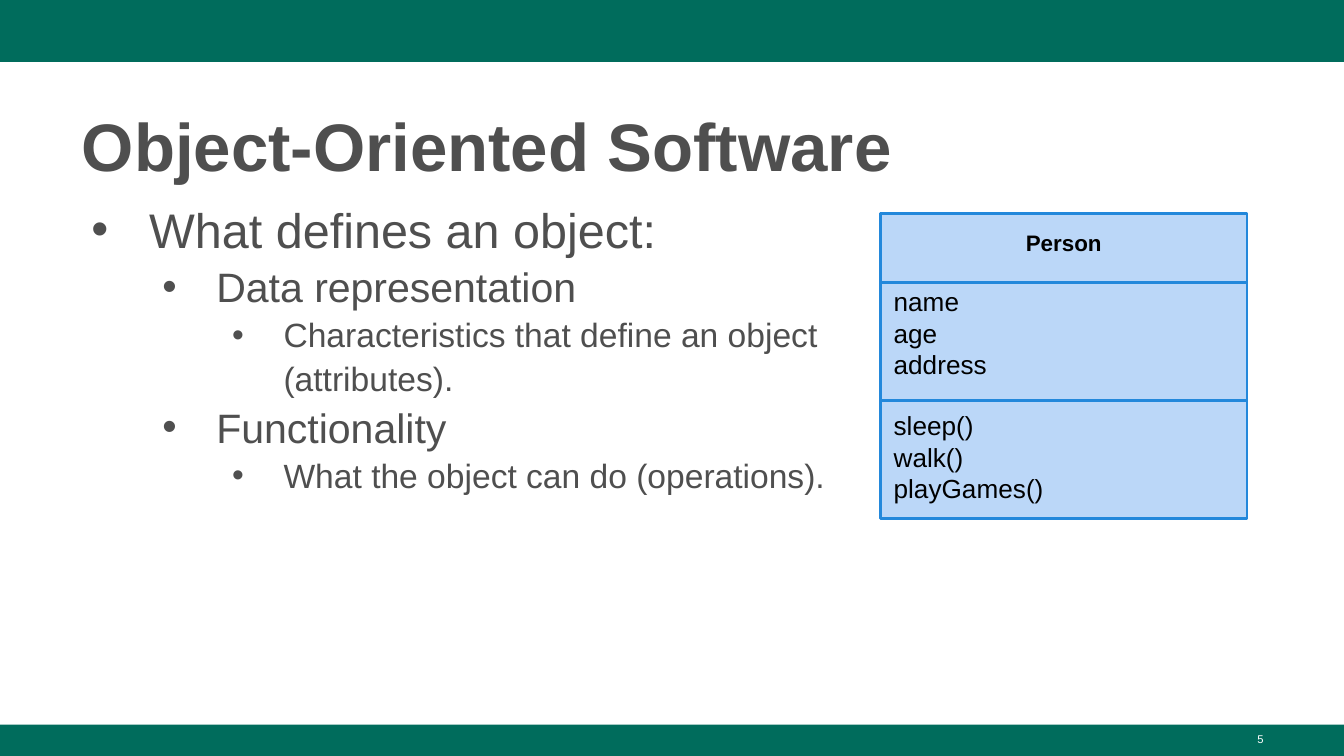
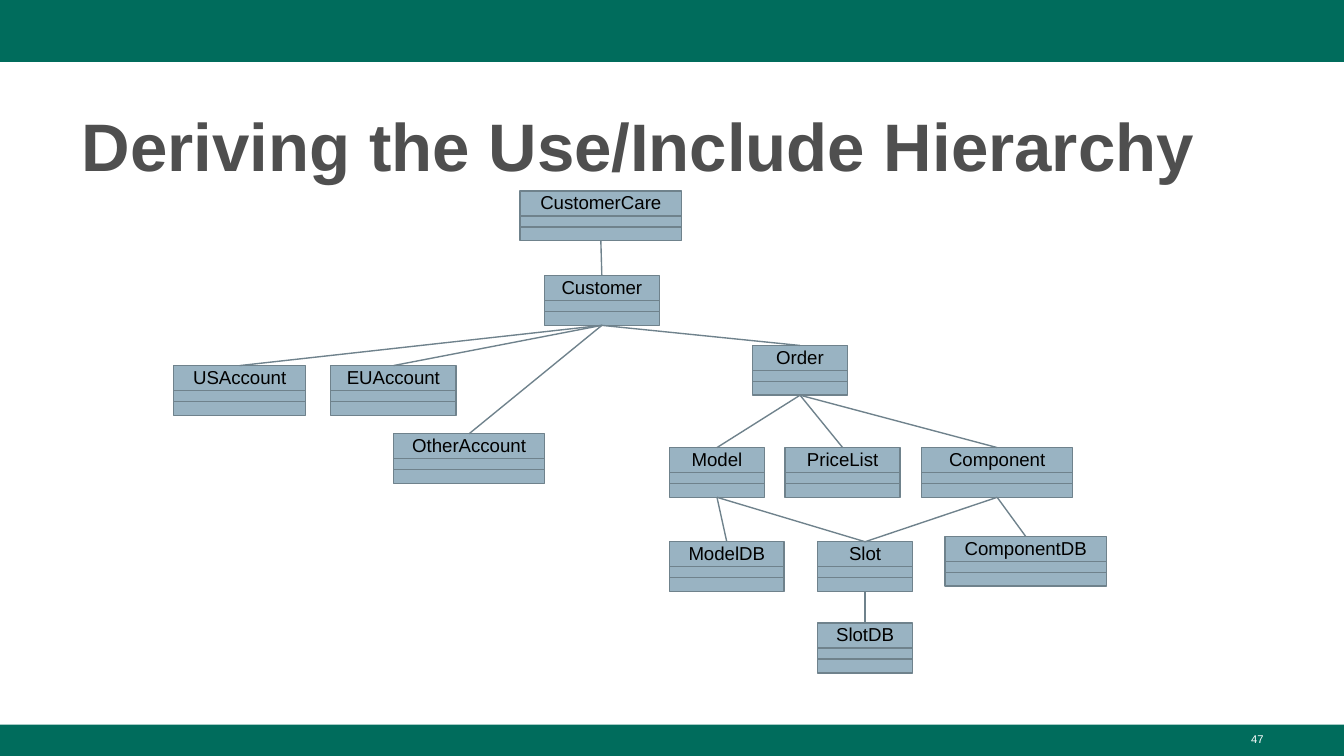
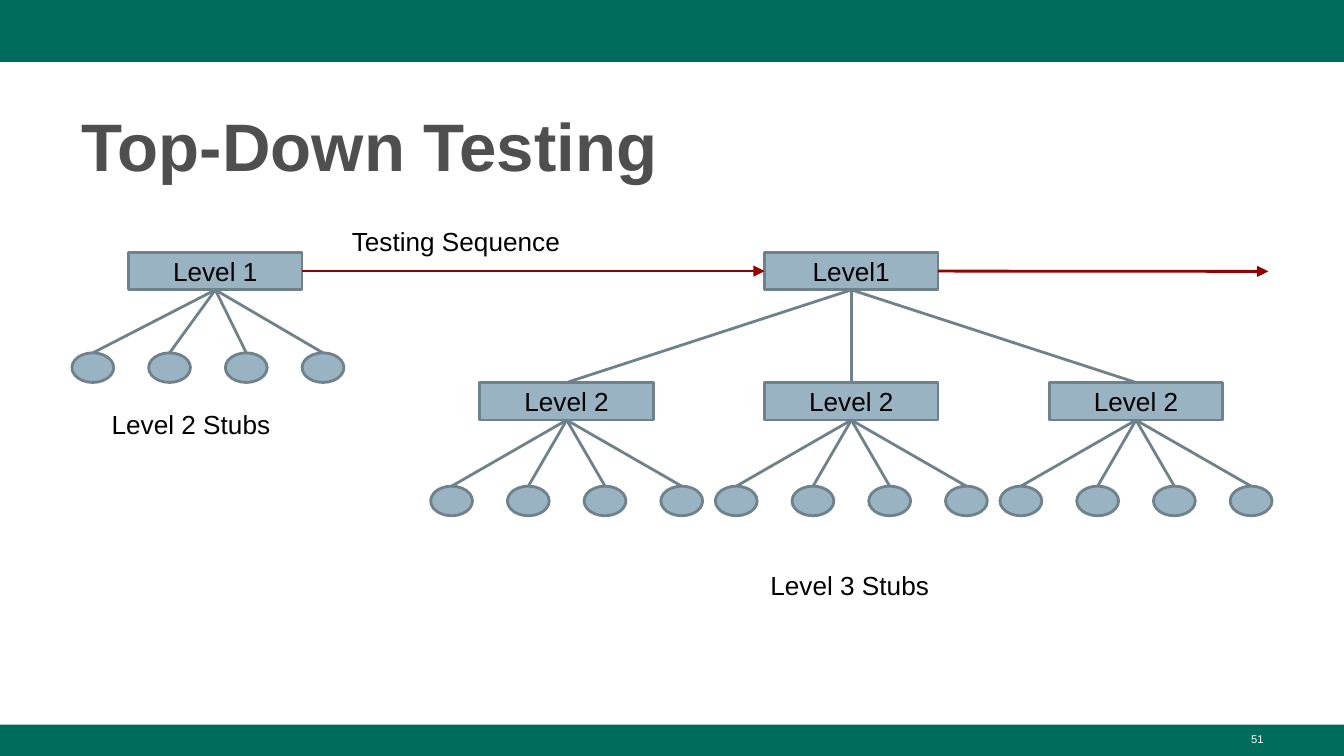
import lxml.etree
import pptx
import pptx.dml.color
import pptx.enum.shapes
import pptx.enum.text
import pptx.oxml.ns
import pptx.util

Cm, Pt = pptx.util.Cm, pptx.util.Pt
qn = pptx.oxml.ns.qn
SHAPE = pptx.enum.shapes.MSO_SHAPE
ALIGN = pptx.enum.text.PP_ALIGN
ANCHOR = pptx.enum.text.MSO_ANCHOR

GREEN, GREY, BLACK, WHITE, RED = "006C5C", "4F4F4F", "000000", "FFFFFF", "980000"
STEEL = {"fill": "99B3C2", "line": "6F828C"}
SKY = {"fill": "BBD7F8", "line": "2388DB"}
WIDTH, HEIGHT = 25.4, 14.29
TOP, BOTTOM, LEFT, RIGHT = 0, 2, 1, 3


def rgb(value):
    """Turn a hex string into a colour."""
    return pptx.dml.color.RGBColor.from_string(value)


def put_text(sp, paragraphs, size, color=BLACK, bold=False, inset=(0, 0),
             anchor=ANCHOR.TOP, **formats):
    """Fill a shape with paragraphs that share one style."""
    tf = sp.text_frame
    frame = {"word_wrap": True, "vertical_anchor": anchor,
             "margin_left": Cm(inset[0]), "margin_right": Cm(inset[0]),
             "margin_top": Cm(inset[1]), "margin_bottom": Cm(inset[1])}
    for name, value in frame.items():
        setattr(tf, name, value)
    for i, text in enumerate(paragraphs):
        p = tf.add_paragraph() if i else tf.paragraphs[0]
        for name, value in {"alignment": ALIGN.LEFT, **formats}.items():
            setattr(p, name, value)
        r = p.add_run()
        r.text = text
        for name, value in {"name": "Arial", "size": Pt(size), "bold": bold}.items():
            setattr(r.font, name, value)
        r.font.color.rgb = rgb(color)
    return tf


def add_text(s, box, paragraphs, size, **formats):
    """Place a text box."""
    sp = s.shapes.add_textbox(*map(Cm, box))
    return put_text(sp, paragraphs, size, **formats)


def add_block(s, kind, box, fill, line=None, weight=1.5):
    """Place a filled preset shape."""
    sp = s.shapes.add_shape(kind, *map(Cm, box))
    sp.shadow.inherit = False
    sp.fill.solid()
    sp.fill.fore_color.rgb = rgb(fill)
    if line:
        sp.line.color.rgb = rgb(line)
        sp.line.width = Pt(weight)
    else:
        sp.line.fill.background()
    return sp


def add_line(s, x1, y1, x2, y2, color, weight=1.5, arrow=False):
    """Draw a straight line, with an arrowhead at its end if asked."""
    c = s.shapes.add_connector(pptx.enum.shapes.MSO_CONNECTOR.STRAIGHT,
                               *map(Cm, (x1, y1, x2, y2)))
    c.line.color.rgb = rgb(color)
    c.line.width = Pt(weight)
    spPr = c._element.spPr
    lxml.etree.SubElement(spPr, qn("a:effectLst"))
    if arrow:
        lxml.etree.SubElement(spPr.find(qn("a:ln")), qn("a:tailEnd"), type="triangle")
    return c


def join(s, start, end, sites=(BOTTOM, TOP), color=STEEL["line"], **style):
    """Connect two shapes at the given sites."""
    c = add_line(s, 0, 0, 1, 1, color, **style)
    c.begin_connect(start, sites[0])
    c.end_connect(end, sites[1])


def new_slide(prs, title, number):
    """Add a slide with bands, title and page number."""
    s = prs.slides.add_slide(prs.slide_layouts[6])
    for top, height in ((0, 1.17), (13.7, 0.59)):
        add_block(s, SHAPE.RECTANGLE, (0, top, WIDTH, height), GREEN)
    add_text(s, (1.3, 1.7, 22.83, 1.85), [title], 36, color=GREY, bold=True,
             inset=(0.25, 0.05), anchor=ANCHOR.BOTTOM, line_spacing=1.08)
    add_text(s, (18.21, 13.72, 5.92, 0.58), [str(number)], 6, color=WHITE,
             inset=(0.25, 0.13), alignment=ALIGN.RIGHT)
    return s


def bullet_list(s, box, items):
    """Place a bulleted list of (level, text) items."""
    sizes, hangs = (26, 22, 18), (1.09, 1.02, 0.97)
    tf = add_text(s, box, [text for _, text in items], 26, color=GREY,
                  inset=(0.25, 0.13), line_spacing=1.08)
    for p, (level, _) in zip(tf.paragraphs, items):
        p.level = level
        p.runs[0].font.size = Pt(sizes[level])
        pPr = p._p.get_or_add_pPr()
        pPr.set("marL", str(Cm(1.27 * (level + 1))))
        pPr.set("indent", str(-Cm(hangs[level])))
        clr = lxml.etree.SubElement(pPr, qn("a:buClr"))
        lxml.etree.SubElement(clr, qn("a:srgbClr"), val=GREY)
        lxml.etree.SubElement(pPr, qn("a:buFont"), typeface="Arial")
        lxml.etree.SubElement(pPr, qn("a:buChar"), char="\u2022")


def class_diagram(s, box, name, attributes, operations):
    """Draw a class with its attributes and operations."""
    x, y, w, h = box
    sp = add_block(s, SHAPE.RECTANGLE, box, **SKY)
    tf = put_text(sp, [name, *attributes, *operations], 14, inset=(0.25, 0.25),
                  anchor=ANCHOR.MIDDLE)
    heading = tf.paragraphs[0]
    heading.alignment = ALIGN.CENTER
    heading.runs[0].font.size = Pt(12)
    heading.runs[0].font.bold = True
    for i in (1, 1 + len(attributes)):
        tf.paragraphs[i].space_before = Pt(16)
    for offset in (1.3, 3.53):
        add_line(s, x, y + offset, x + w, y + offset, SKY["line"])


def class_card(s, x, y, w, name):
    """Draw a small class card with two empty compartments."""
    sp = add_block(s, SHAPE.RECTANGLE, (x, y, w, 0.94), weight=0.75, **STEEL)
    put_text(sp, [name], 10, alignment=ALIGN.CENTER)
    for offset in (0.47, 0.68):
        add_line(s, x, y + offset, x + w, y + offset, STEEL["line"], 0.75)
    return sp


def hierarchy(s, cards, uses):
    """Draw class cards and the links between them."""
    drawn = {name: class_card(s, *place, name) for name, place in cards.items()}
    for user, used in uses.items():
        for name in used:
            join(s, drawn[user], drawn[name], weight=0.75)


def level_box(s, x, y, label):
    """Draw the box of one test level."""
    sp = add_block(s, SHAPE.RECTANGLE, (x, y, 3.28, 0.71), **STEEL)
    put_text(sp, [label], 14, anchor=ANCHOR.MIDDLE, alignment=ALIGN.CENTER)
    return sp


def level_with_stubs(s, x, y, label, shift, drop):
    """Draw a level box with four stubs fanned out below it."""
    box = level_box(s, x, y, label)
    for i in range(4):
        stub = add_block(s, SHAPE.OVAL, (x - shift + 1.45 * i, y + drop, 0.79, 0.56), **STEEL)
        join(s, box, stub)
    return box


def object_slide(prs):
    """Build the slide on what defines an object."""
    s = new_slide(prs, "Object-Oriented Software", 5)
    bullet_list(s, (1.3, 3.56, 17.68, 9.68), [
        (0, "What defines an object:"),
        (1, "Data representation"),
        (2, "Characteristics that define an object (attributes)."),
        (1, "Functionality"),
        (2, "What the object can do (operations)."),
    ])
    class_diagram(s, (16.64, 4.04, 6.93, 5.77), "Person", ["name", "age", "address"],
                  ["sleep()", "walk()", "playGames()"])


def hierarchy_slide(prs):
    """Build the slide with the use hierarchy."""
    s = new_slide(prs, "Deriving the Use/Include Hierarchy", 47)
    cards = {
        "CustomerCare": (9.83, 3.61, 3.05),
        "Customer": (10.29, 5.21, 2.17),
        "USAccount": (3.28, 6.91, 2.5),
        "EUAccount": (6.25, 6.91, 2.37),
        "OtherAccount": (7.44, 8.2, 2.85),
        "Order": (14.22, 6.53, 1.8),
        "Model": (12.65, 8.46, 1.8),
        "PriceList": (14.84, 8.46, 2.17),
        "Component": (17.42, 8.46, 2.85),
        "ModelDB": (12.65, 10.24, 2.17),
        "Slot": (15.45, 10.24, 1.8),
        "ComponentDB": (17.86, 10.14, 3.05),
        "SlotDB": (15.45, 11.78, 1.8),
    }
    hierarchy(s, cards, {
        "CustomerCare": ["Customer"],
        "Customer": ["USAccount", "EUAccount", "OtherAccount", "Order"],
        "Order": ["Model", "PriceList", "Component"],
        "Model": ["ModelDB", "Slot"],
        "Component": ["Slot", "ComponentDB"],
        "Slot": ["SlotDB"],
    })


def testing_slide(prs):
    """Build the slide on top-down testing."""
    s = new_slide(prs, "Top-Down Testing", 51)
    top, middle = 4.77, 14.45
    first = level_with_stubs(s, 2.43, top, "Level 1", 1.07, 1.9)
    second = level_box(s, middle, top, "Level1")
    for i in (-1, 0, 1):
        child = level_with_stubs(s, middle + 5.38 * i, 7.23, "Level 2", 0.93, 1.96)
        join(s, second, child)
    join(s, first, second, (RIGHT, LEFT), RED, arrow=True)
    arrow = add_line(s, middle + 3.28, top + 0.36, 23.97, top + 0.36, RED, arrow=True)
    arrow.begin_connect(second, RIGHT)
    labels = {"Level 2 Stubs": (1.86, 7.47, 4.17), "Level 3 Stubs": (14.31, 10.52, 4.17),
              "Testing Sequence": (6.4, 4.01, 6.2)}
    for text, place in labels.items():
        add_text(s, (*place, 0.86), [text], 14, inset=(0.25, 0.25))


prs = pptx.Presentation()
prs.slide_width, prs.slide_height = Cm(WIDTH), Cm(HEIGHT)
object_slide(prs)
hierarchy_slide(prs)
testing_slide(prs)
prs.save("out.pptx")
